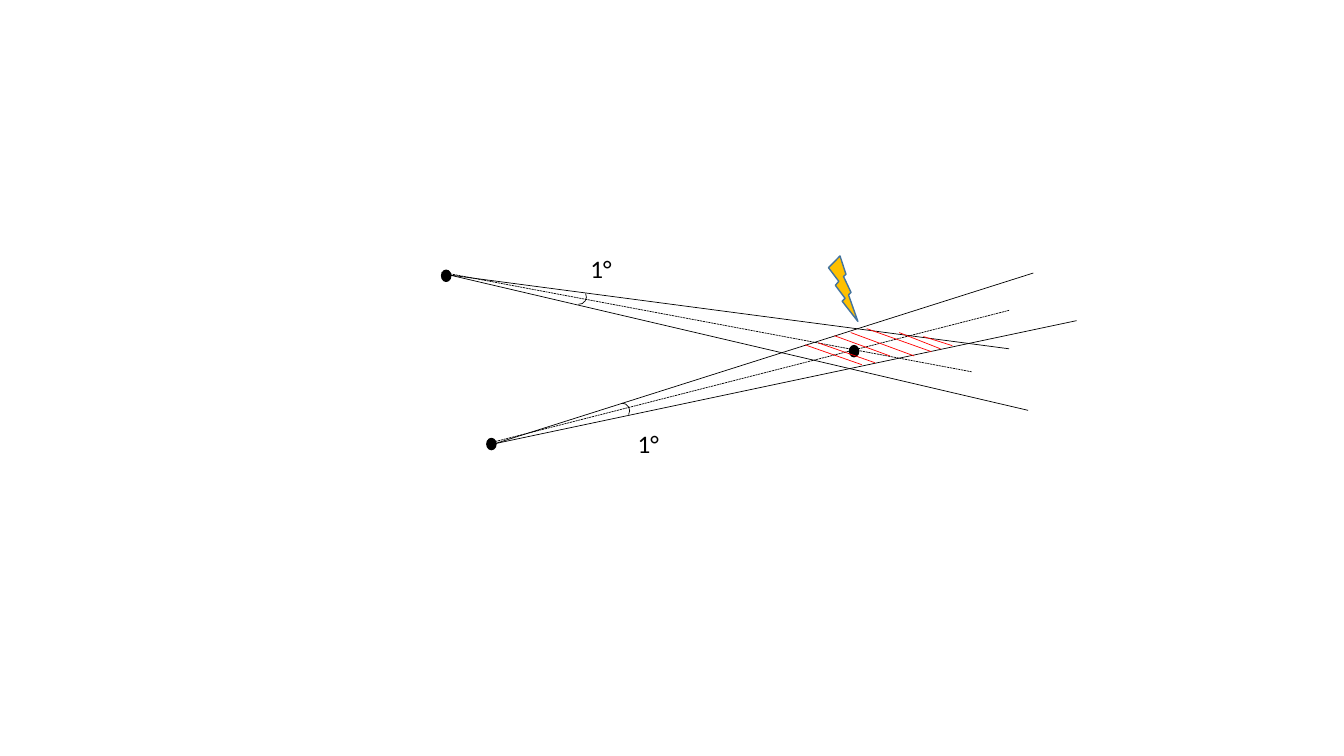
from lxml.etree import SubElement
from pptx import Presentation
from pptx.dml.color import RGBColor
from pptx.enum.dml import MSO_LINE
from pptx.enum.shapes import MSO_CONNECTOR, MSO_SHAPE
from pptx.enum.text import MSO_AUTO_SIZE
from pptx.oxml.ns import qn
from pptx.util import Cm, Pt

BLACK = RGBColor(0x00, 0x00, 0x00)
RED = RGBColor(0xFF, 0x00, 0x00)
GOLD = RGBColor(0xFF, 0xC0, 0x00)
BLUE = RGBColor(0x43, 0x73, 0x9E)

# All positions are in centimetres. Each beam: start and end of a line.
UPPER_EDGES = [(11.33, 6.93, 25.43, 8.79), (11.33, 6.93, 25.91, 10.34)]
UPPER_AXIS = (11.13, 6.86, 24.49, 9.37)
LOWER_EDGES = [(12.47, 11.18, 26.04, 6.88), (12.47, 11.18, 27.13, 8.08)]
LOWER_AXIS = (12.27, 11.18, 25.43, 7.82)
HATCHING = [
    (20.29, 8.69, 21.72, 9.19),
    (20.62, 8.64, 22.05, 9.14),
    (21.03, 8.46, 22.43, 8.97),
    (21.44, 8.38, 23.04, 8.97),
    (21.84, 8.28, 23.47, 8.86),
    (22.66, 8.38, 23.70, 8.79),
    (23.27, 8.48, 24.00, 8.71),
]
STATIONS_AND_STRIKE = [(11.13, 6.81), (12.27, 11.05), (21.41, 8.71)]
ANGLE_ARCS = [(15.49, 10.16, 0), (14.40, 7.29, 64)]
ANGLE_LABELS = [(14.63, 6.25), (15.82, 10.67)]


class Diagram:
    font = "Calibri"
    font_size = Pt(18)
    thin = Pt(0.5)
    outline = Pt(1)

    def __init__(self, page):
        self.shapes = page.shapes.add_group_shape().shapes

    def line(self, ends, color=BLACK, dash=None):
        connector = self.shapes.add_connector(
            MSO_CONNECTOR.STRAIGHT, *[Cm(value) for value in ends])
        connector.line.color.rgb = color
        connector.line.width = self.thin
        if dash:
            connector.line.dash_style = dash
        SubElement(connector._element.spPr, qn("a:effectLst"))

    def shape(self, kind, left, top, width, height, fill, color, weight):
        shape = self.shapes.add_shape(
            kind, Cm(left), Cm(top), Cm(width), Cm(height))
        shape.shadow.inherit = False
        if fill is None:
            shape.fill.background()
        else:
            shape.fill.solid()
            shape.fill.fore_color.rgb = fill
        shape.line.color.rgb = color
        shape.line.width = weight
        return shape

    def bolt(self, left, top, width, height):
        self.shape(MSO_SHAPE.LIGHTNING_BOLT, left, top, width, height,
                   GOLD, BLUE, self.outline)

    def dot(self, left, top):
        self.shape(MSO_SHAPE.OVAL, left, top, 0.23, 0.28,
                   BLACK, BLACK, self.outline)

    def arc(self, left, top, rotation):
        arc = self.shape(MSO_SHAPE.ARC, left, top, 0.38, 0.38,
                         None, BLACK, self.thin)
        arc.adjustments[0] = 162
        arc.adjustments[1] = 18.11
        arc.rotation = rotation

    def label(self, text, left, top):
        box = self.shapes.add_textbox(Cm(left), Cm(top), Cm(1.22), Cm(1.02))
        box.text_frame.word_wrap = True
        box.text_frame.auto_size = MSO_AUTO_SIZE.SHAPE_TO_FIT_TEXT
        span = box.text_frame.paragraphs[0].add_run()
        span.text = text
        span.font.name = self.font
        span.font.size = self.font_size
        span.font.color.rgb = BLACK


def main():
    deck = Presentation()
    deck.slide_width, deck.slide_height = Cm(33.87), Cm(19.05)
    diagram = Diagram(deck.slides.add_slide(deck.slide_layouts[6]))

    for edge in UPPER_EDGES:
        diagram.line(edge)
    diagram.line(UPPER_AXIS, dash=MSO_LINE.SQUARE_DOT)
    diagram.bolt(20.88, 6.45, 0.74, 1.65)
    for point in STATIONS_AND_STRIKE:
        diagram.dot(*point)
    for edge in LOWER_EDGES:
        diagram.line(edge)
    diagram.line(LOWER_AXIS, dash=MSO_LINE.SQUARE_DOT)
    for stroke in HATCHING:
        diagram.line(stroke, RED)
    for arc in ANGLE_ARCS:
        diagram.arc(*arc)
    for place in ANGLE_LABELS:
        diagram.label("1°", *place)

    deck.save("out.pptx")


if __name__ == "__main__":
    main()
